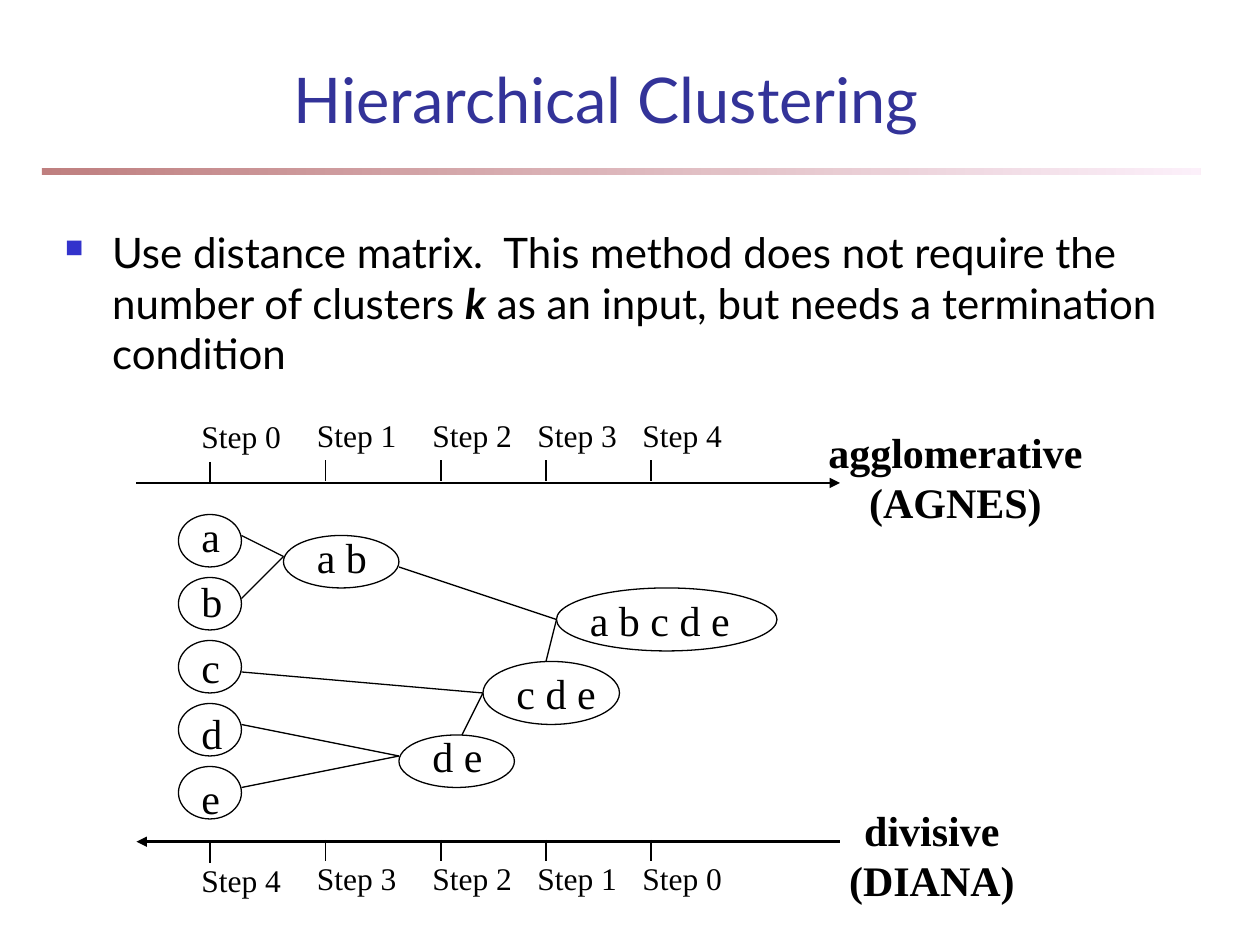
from dataclasses import dataclass

from lxml.etree import SubElement
from pptx import Presentation
from pptx.dml.color import RGBColor as RGB
from pptx.enum.shapes import MSO_CONNECTOR as Conn, MSO_SHAPE as Shape
from pptx.enum.text import MSO_ANCHOR as Anchor, MSO_AUTO_SIZE as Fit, PP_ALIGN as Align
from pptx.oxml.ns import qn
from pptx.util import Pt


@dataclass(frozen=True)
class Theme:
    ink: str = "000000"
    title: str = "333399"
    bullet: str = "3333CC"
    rule: tuple = ("800000", "FAE2F6")
    sans: str = "Lato"
    serif: str = "Times New Roman"
    head: int = 36
    body: int = 24
    step: int = 18
    thin: float = 0.75
    bold: float = 1.5


@dataclass(frozen=True)
class Node:
    """A cluster: its oval, and the box of its label."""
    text: str
    oval: tuple
    label: tuple


@dataclass(frozen=True)
class Axis:
    """A time line with its ticks and step labels."""
    y: float
    tick: float
    label: float
    steps: tuple
    end: str


T = Theme()
LEFT, RIGHT = 78, 480
TICKS = (120, 186, 252, 312, 372)
TICK_H, DROP = 12, 1  # the first tick sits slightly lower

AXES = (
    Axis(276, 263, 234, (0, 1, 2, 3, 4), "tailEnd"),
    Axis(481, 480, 487.5, (4, 3, 2, 1, 0), "headEnd"),
)

NODES = [
    Node(c, (102, 294 + 36 * i, 36, 30), (108, 288 + 37.5 * i, 27, 36))
    for i, c in enumerate("abcde")
] + [
    Node("a b", (162, 306, 66, 30), (174, 300, 45, 36)),
    Node("d e", (228, 420, 66, 30), (240, 414, 45, 36)),
    Node("c d e", (276, 378, 78, 36), (288, 378, 62, 36)),
    Node("a b c d e", (318, 336, 126, 36), (330, 336, 100, 36)),
]

# Each merge point, with the points that lead to it
MERGES = {
    (162, 318): ((138, 306), (138, 342)),
    (228, 432): ((138, 414), (138, 450)),
    (276, 396): ((138, 384), (264, 420)),
    (318, 354): ((228, 324), (312, 378)),
}

NAMES = (
    ("agglomerative", "(AGNES)", (466, 240, 160, 65)),
    ("divisive", "(DIANA)", (478, 456, 109, 65)),
)


def write(slide, box: tuple, *paras, size=T.body, font=T.serif, color=T.ink,
          bold=False, align=Align.LEFT, anchor=Anchor.TOP, wrap=True, grow=False):
    """Add a text box; a paragraph is a string or a list of (text, strong)."""
    frame = slide.shapes.add_textbox(*map(Pt, box)).text_frame
    frame.word_wrap = wrap
    frame.vertical_anchor = anchor
    frame.auto_size = Fit.SHAPE_TO_FIT_TEXT if grow else Fit.NONE
    for i, para in enumerate(paras):
        p = frame.paragraphs[0] if i == 0 else frame.add_paragraph()
        p.alignment = align
        for text, strong in [(para, False)] if isinstance(para, str) else para:
            run = p.add_run()
            run.text = text
            run.font.size, run.font.name = Pt(size), font
            run.font.color.rgb = RGB.from_string(color)
            run.font.bold, run.font.italic = bold or strong, strong
    return frame


def line(slide, start: tuple, stop: tuple, width: float = T.thin, end: str = "") -> None:
    link = slide.shapes.add_connector(Conn.STRAIGHT, *map(Pt, start + stop))
    link.line.width = Pt(width)
    link.line.color.rgb = RGB.from_string(T.ink)
    props = link._element.spPr
    if end:
        SubElement(props.find(qn("a:ln")), qn("a:" + end), type="triangle")
    SubElement(props, qn("a:effectLst"))


def rule(slide) -> None:
    bar = slide.shapes.add_shape(Shape.RECTANGLE, Pt(24), Pt(96), Pt(662), Pt(4))
    bar.shadow.inherit = False
    bar.line.fill.background()
    bar.fill.gradient()
    bar.fill.gradient_angle = 0
    for stop, place, color in zip(bar.fill.gradient_stops, (0, 1), T.rule):
        stop.position = place
        stop.color.rgb = RGB.from_string(color)
    for color in bar._element.spPr.iter(qn("a:srgbClr")):
        SubElement(color, qn("a:alpha"), val="50000")


def bullet(para, indent: float) -> None:
    props = para._p.get_or_add_pPr()
    props.set("marL", str(Pt(indent)))
    props.set("indent", str(-Pt(indent)))
    SubElement(SubElement(props, qn("a:buClr")), qn("a:srgbClr"), val=T.bullet)
    SubElement(props, qn("a:buSzPct"), val="60000")
    SubElement(props, qn("a:buChar"), char="■")


def axis(slide, a: Axis) -> None:
    line(slide, (LEFT, a.y), (RIGHT, a.y), T.bold, a.end)
    for i, (x, step) in enumerate(zip(TICKS, a.steps)):
        dy = 0 if i else DROP
        line(slide, (x, a.tick + dy), (x, a.tick + dy + TICK_H))
        write(slide, (x - 12, a.label + dy, 60, 29), f"Step {step}",
              size=T.step, grow=True)


def node(slide, n: Node) -> None:
    write(slide, n.label, n.text, wrap=False)
    oval = slide.shapes.add_shape(Shape.OVAL, *map(Pt, n.oval))
    oval.shadow.inherit = False
    oval.fill.background()
    oval.line.width = Pt(T.thin)
    oval.line.color.rgb = RGB.from_string(T.ink)


def main() -> None:
    deck = Presentation()
    deck.slide_width, deck.slide_height = Pt(720), Pt(540)
    slide = deck.slides.add_slide(deck.slide_layouts[6])

    # Title and body
    rule(slide)
    write(slide, (59, 39, 575, 34.5), "Hierarchical Clustering", size=T.head,
          font=T.sans, color=T.title, align=Align.CENTER, anchor=Anchor.MIDDLE)
    body = write(slide, (30, 126, 654, 384), [
        ("Use distance matrix.  This method does not require the number of clusters ", False),
        ("k", True),
        (" as an input, but needs a termination condition", False),
    ], font=T.sans)
    bullet(body.paragraphs[0], 27)

    # Diagram
    for a in AXES:
        axis(slide, a)
    for n in NODES:
        node(slide, n)
    for stop, starts in MERGES.items():
        for start in starts:
            line(slide, start, stop)

    # Method names
    for name, short, box in NAMES:
        write(slide, box, name, short, bold=True, align=Align.CENTER,
              wrap=False, grow=True)

    deck.save("out.pptx")


if __name__ == "__main__":
    main()
